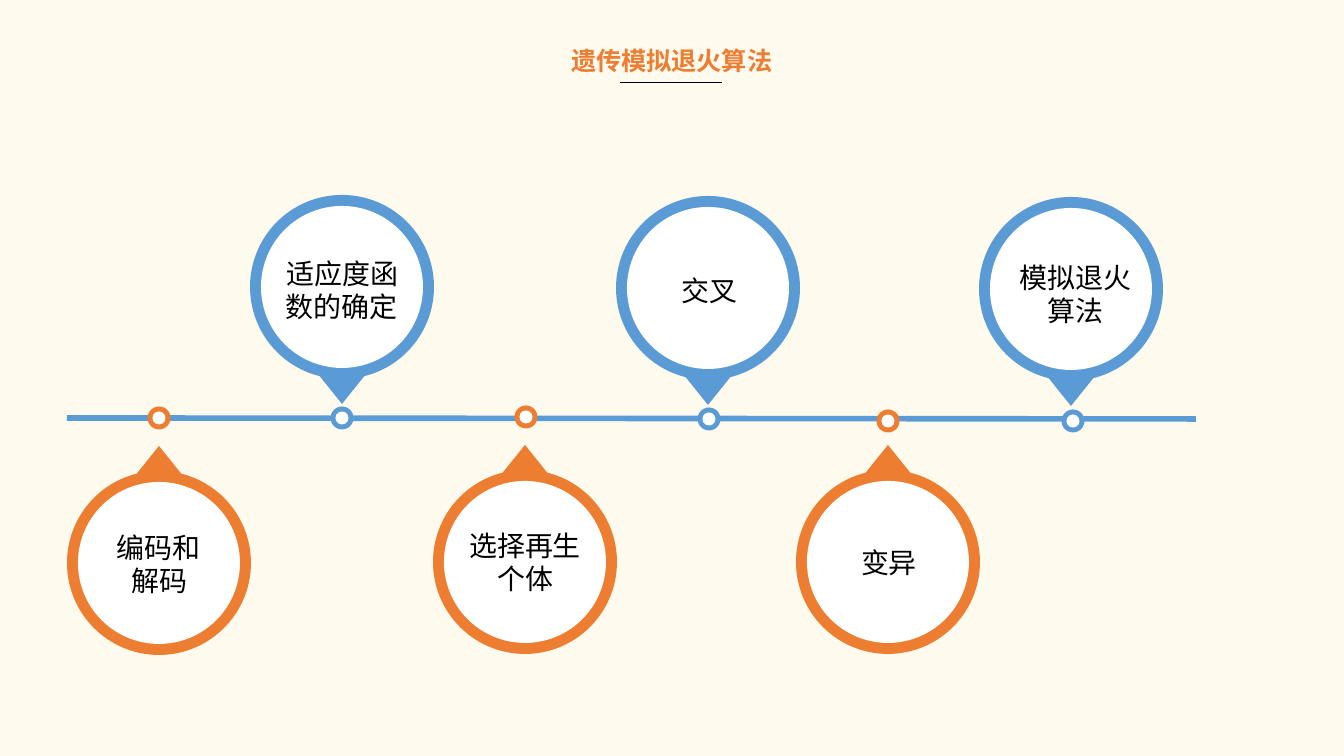
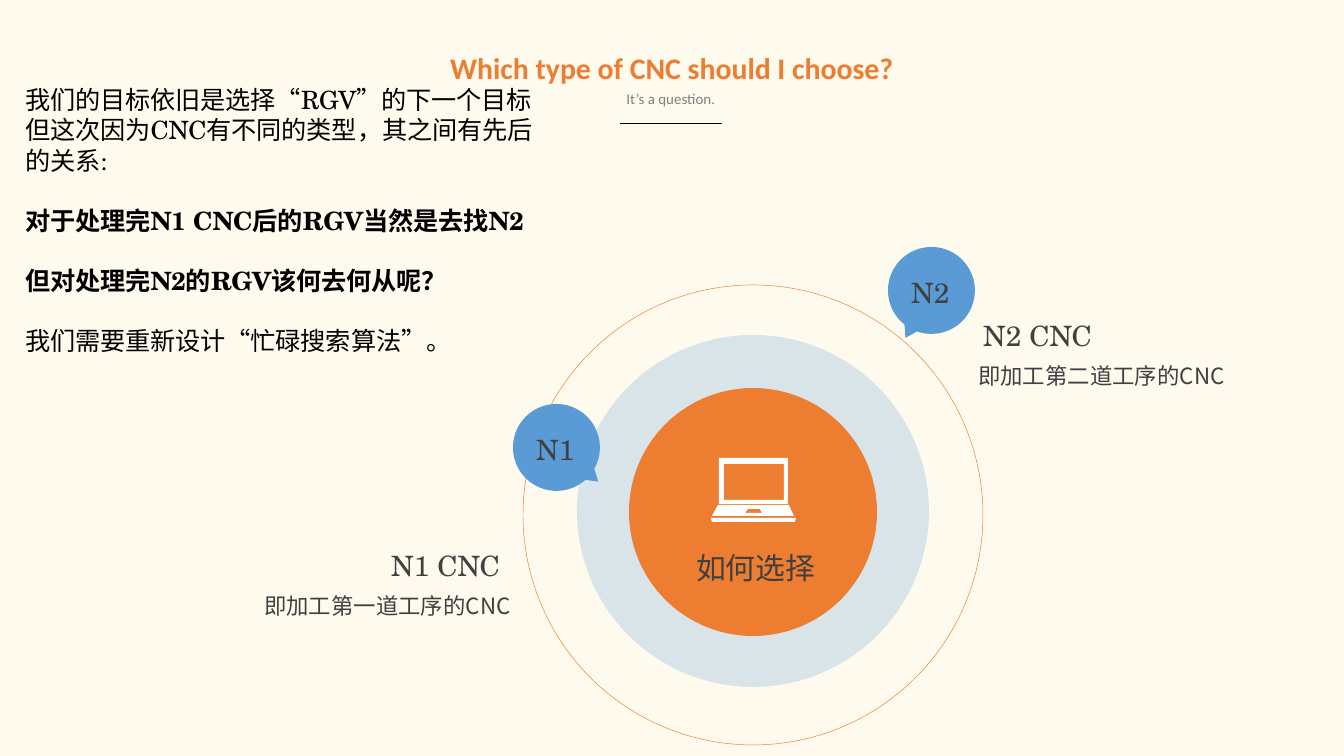
from collections import namedtuple
from itertools import pairwise
from math import cos, radians, sin, tan

from lxml.etree import SubElement
from pptx import Presentation
from pptx.dml.color import RGBColor
from pptx.enum.shapes import MSO_CONNECTOR, MSO_SHAPE as SHAPE
from pptx.enum.text import MSO_ANCHOR as ANCHOR, PP_ALIGN as ALIGN
from pptx.oxml.ns import qn
from pptx.util import Emu, Pt

EMU_PER_PX = 914400 / 134.4
WIDTH, HEIGHT = 1344, 756

CREAM = RGBColor(0xFE, 0xFA, 0xEE)
ORANGE = RGBColor(0xED, 0x7D, 0x31)
BLUE = RGBColor(0x5B, 0x9B, 0xD5)
WHITE = RGBColor(0xFF, 0xFF, 0xFF)
BLACK = RGBColor(0, 0, 0)
GRAY = RGBColor(0x80, 0x80, 0x80)
DARK = RGBColor(0x40, 0x40, 0x40)

LATIN = "Calibri"
SANS = "Noto Sans CJK SC"
SERIF = "TeX Gyre Schola"

PIN_RADIUS, PIN_TIP, PIN_HOLE = 92, 117, 162
PIN_ANGLES = [14, 90, 180, 270, 346]
DOT, DOT_HOLE = 23, 13

Stage = namedtuple("Stage", "label x y label_x label_y label_w dot_x dot_y")
STAGES = [
    Stage("编码和解码", 159, 563, 159, 564, 128, 159, 418),
    Stage("适应度函数的确定", 342, 287, 342, 290, 164, 342, 418),
    Stage("选择再生个体", 525, 562, 525, 562, 164, 526, 417),
    Stage("交叉", 708, 288, 709, 290, 164, 709, 419),
    Stage("变异", 888, 562, 889, 562, 164, 888, 421),
    Stage("模拟退火算法", 1071, 289, 1075, 294, 164, 1073, 421),
]

# text, bold, space before in points
QUESTION = [
    ("我们的目标依旧是选择“RGV”的下一个目标", False, 0),
    ("但这次因为CNC有不同的类型，其之间有先后", False, 0),
    ("的关系:", False, 0),
    ("对于处理完N1 CNC后的RGV当然是去找N2", True, 16),
    ("但对处理完N2的RGV该何去何从呢？", True, 16),
    ("我们需要重新设计“忙碌搜索算法”。", False, 16),
]

LAPTOP = [
    [(719, 458), (788, 458), (788, 504), (719, 504)],
    [(724, 464), (724, 500), (784, 500), (784, 464)],
    [(718, 505), (789, 505), (794, 516), (712, 516)],
    [(748, 509), (745, 513), (762, 513), (760, 509)],
    [(711, 518), (796, 518), (795, 522), (712, 522)],
]


def px(n):
    return Emu(round(n * EMU_PER_PX))


def new_slide(prs):
    s = prs.slides.add_slide(prs.slide_layouts[6])
    s.background.fill.solid()
    s.background.fill.fore_color.rgb = CREAM
    return s


def paint(sp, fill):
    """Fill a shape flatly, with no outline and no shadow."""
    sp.shadow.inherit = False
    sp.line.fill.background()
    sp.fill.solid()
    sp.fill.fore_color.rgb = fill
    return sp


def shape(s, kind, x, y, w, h, fill, rotation=0):
    sp = s.shapes.add_shape(kind, px(x), px(y), px(w), px(h))
    sp.rotation = rotation
    return paint(sp, fill)


def disc(s, cx, cy, size, fill):
    return shape(s, SHAPE.OVAL, cx - size / 2, cy - size / 2, size, size, fill)


def outline(s, contours, fill):
    """Draw closed polygons as one freeform; inner ones become holes."""
    contours = [[(px(x), px(y)) for x, y in c] for c in contours]
    builder = s.shapes.build_freeform(*contours[0][0], scale=1.0)
    for i, (start, *rest) in enumerate(contours):
        if i:
            builder.move_to(*start)
        builder.add_line_segments(rest, close=True)
    return paint(builder.convert_to_shape(), fill)


def bend(sp, count):
    """Turn the first count triples of straight segments into Bezier curves."""
    route = next(sp._element.iter(qn("a:path")))
    segments = route.findall(qn("a:lnTo"))
    for i in range(0, 3 * count, 3):
        first, second, third = segments[i:i + 3]
        curve = SubElement(route, qn("a:cubicBezTo"))
        route.replace(first, curve)
        curve.extend([first[0], second[0], third[0]])
        route.remove(second)
        route.remove(third)


def line(s, x1, y1, x2, y2, color, width):
    c = s.shapes.add_connector(MSO_CONNECTOR.STRAIGHT, px(x1), px(y1), px(x2), px(y2))
    c.line.color.rgb = color
    c.line.width = Pt(width)
    SubElement(c._element.spPr, qn("a:effectLst"))


def style(p, font, size, color, bold=False, align=ALIGN.LEFT):
    p.alignment = align
    f = p.font
    f.name, f.size, f.bold = font, Pt(size), bold
    f.color.rgb = color
    SubElement(p._p.pPr.find(qn("a:defRPr")), qn("a:ea"), typeface=SANS)


def text(s, words, x, y, w, h, font, size, color, bold=False, align=ALIGN.LEFT,
         wrap=False, anchor=ANCHOR.TOP, spacing=None):
    tf = s.shapes.add_textbox(px(x), px(y), px(w), px(h)).text_frame
    tf.word_wrap, tf.vertical_anchor = wrap, anchor
    p = tf.paragraphs[0]
    p.text = words
    style(p, font, size, color, bold, align)
    if spacing:
        p.line_spacing = spacing


def title(s, words, size, y, rule_y):
    text(s, words, 432, y, 480, 50, LATIN, size, ORANGE, True, ALIGN.CENTER)
    line(s, 620, rule_y, 722, rule_y, BLACK, 0.5)


def pin(s, stage, color, up):
    """Draw a ringed label whose tip points up or down to the timeline."""
    side = -1 if up else 1

    def rim(degrees, pull=0):
        """Point on the circle, moved along its tangent by pull radii."""
        a = radians(degrees)
        return (stage.x + PIN_RADIUS * (sin(a) + pull * cos(a)),
                stage.y + side * PIN_RADIUS * (cos(a) - pull * sin(a)))

    points = [rim(PIN_ANGLES[0])]
    for a, b in pairwise(PIN_ANGLES):
        pull = 4 / 3 * tan(radians(b - a) / 4)
        points += [rim(a, pull), rim(b, -pull), rim(b)]
    points.append((stage.x, stage.y + side * PIN_TIP))
    bend(outline(s, [points], color), len(PIN_ANGLES) - 1)
    disc(s, stage.x, stage.y, PIN_HOLE, WHITE)
    text(s, stage.label, stage.label_x - stage.label_w / 2, stage.label_y - 41,
         stage.label_w, 82, SANS, 15, BLACK, align=ALIGN.CENTER, wrap=True,
         anchor=ANCHOR.MIDDLE)


def timeline_slide(prs):
    s = new_slide(prs)
    title(s, "遗传模拟退火算法", 13.5, 39, 83)
    colors = [ORANGE, BLUE] * 3
    for stage, color in zip(STAGES, colors):
        pin(s, stage, color, up=color == ORANGE)
    line(s, 67, 418, 1196, 419, BLUE, 3)
    for stage, color in zip(STAGES, colors):
        disc(s, stage.dot_x, stage.dot_y, DOT, color)
        disc(s, stage.dot_x, stage.dot_y, DOT_HOLE, WHITE)


def bubble(s, name, x, y, tail_dx, tail_dy, tail_rotation):
    shape(s, SHAPE.FLOWCHART_CONNECTOR, x, y, 87, 87, BLUE)
    shape(s, SHAPE.ISOSCELES_TRIANGLE, x + tail_dx, y + tail_dy, 24, 19, BLUE,
          tail_rotation)
    tf = shape(s, SHAPE.RECTANGLE, x + 10, y + 22, 67, 47, BLUE).text_frame
    tf.word_wrap = False
    p = tf.paragraphs[0]
    p.text = name
    style(p, SERIF, 15, DARK)


def machine(s, name, name_x, name_y, note, note_x):
    text(s, note, note_x, name_y + 30, 290, 52, SANS, 12, DARK, wrap=True, spacing=1.5)
    text(s, name, name_x, name_y, 138, 47, SERIF, 15, DARK)


def question_text(s):
    tf = s.shapes.add_textbox(px(12), px(78), px(543), px(380)).text_frame
    tf.word_wrap = True
    for i, (words, bold, before) in enumerate(QUESTION):
        p = tf.add_paragraph() if i else tf.paragraphs[0]
        p.text = words
        p.space_before = Pt(before)
        style(p, SERIF, 13.5, BLACK, bold)


def choice_slide(prs):
    s = new_slide(prs)
    title(s, "Which type of CNC should I choose?", 16, 43, 124)
    text(s, "It’s a question.", 612, 83, 118, 32, LATIN, 8, GRAY, align=ALIGN.CENTER)

    halo = disc(s, 753, 511, 352, BLUE)
    color = next(halo._element.spPr.iter(qn("a:srgbClr")))
    SubElement(color, qn("a:alpha"), val="23000")
    orbit = disc(s, 753, 515, 460, ORANGE)
    orbit.fill.background()
    orbit.line.color.rgb = ORANGE
    orbit.line.width = Pt(0.25)

    machine(s, "N2 CNC", 970, 312, "即加工第二道工序的CNC", 965)
    machine(s, "N1 CNC", 378, 542, "即加工第一道工序的CNC", 251)
    disc(s, 753, 512, 248, ORANGE)
    outline(s, LAPTOP, WHITE)
    text(s, "如何选择", 683, 543, 148, 50, SERIF, 16, DARK)
    bubble(s, "N2", 888, 247, 10, 73, 208.8)
    bubble(s, "N1", 513, 404, 66, 62, 130.2)
    question_text(s)


def main():
    prs = Presentation()
    prs.slide_width, prs.slide_height = px(WIDTH), px(HEIGHT)
    timeline_slide(prs)
    choice_slide(prs)
    prs.save("out.pptx")


if __name__ == "__main__":
    main()
